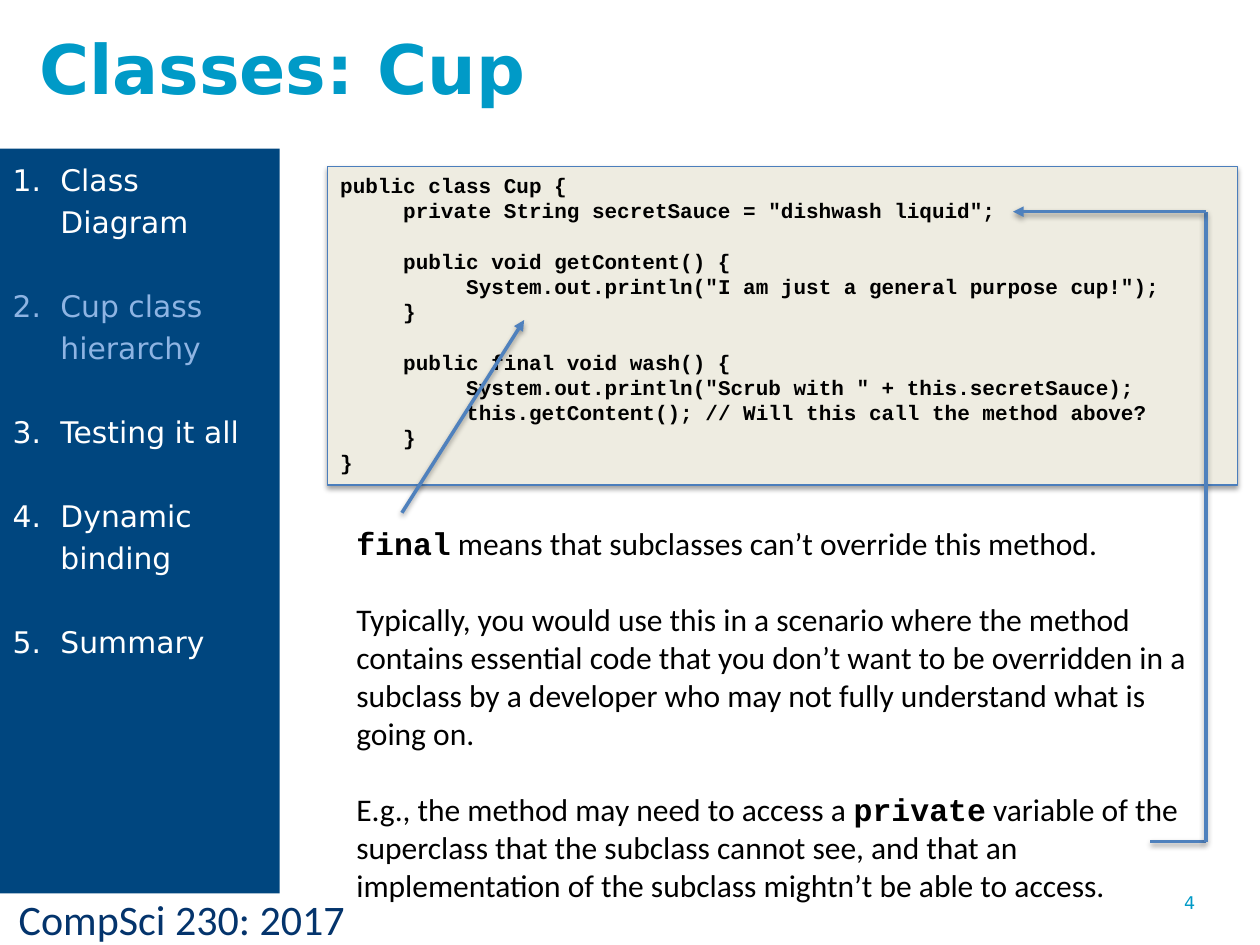
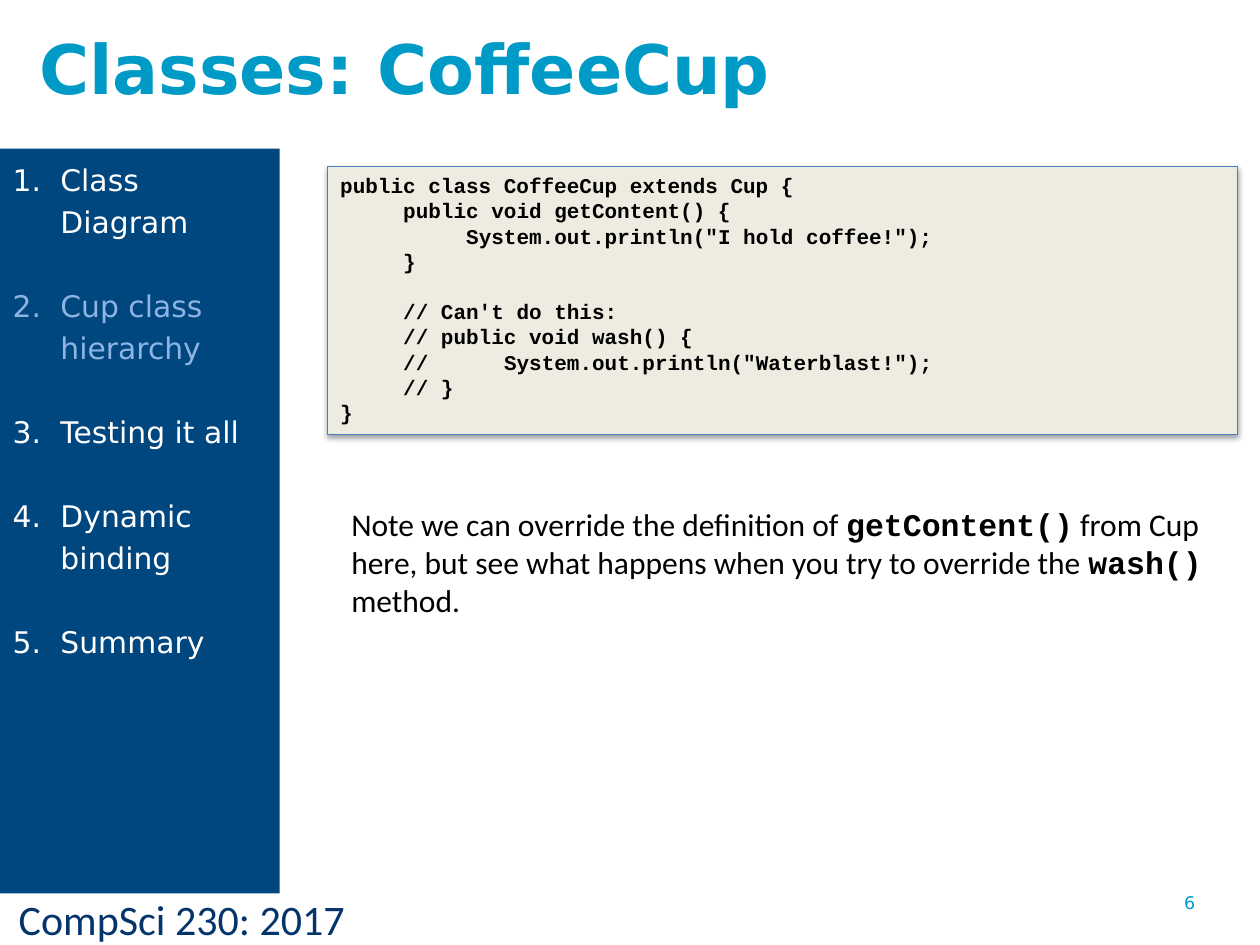
import dataclasses
import itertools

import lxml.etree
import pptx
import pptx.dml.color
import pptx.enum.shapes
import pptx.enum.text
import pptx.oxml.ns
import pptx.util


@dataclasses.dataclass(frozen=True)
class Theme:
    heading: str = "009AC7"
    band: str = "00467F"
    topic: str = "FFFFFF"
    current_topic: str = "8EB4E3"
    course: str = "04346C"
    ink: str = "000000"
    code_fill: str = "EEECE1"
    code_edge: str = "4B7EBC"
    arrow: str = "4F81BD"
    sans: str = "DejaVu Sans"
    prose: str = "Calibri"
    mono: str = "Courier New"
    title_size: float = 39
    course_size: float = 24
    note_size: float = 18
    topic_size: float = 17
    code_size: float = 12
    number_size: float = 10
    topic_pitch: float = 24
    code_pitch: float = 14.4
    note_gap: float = 22


theme = Theme()
qn = pptx.oxml.ns.qn
Pt = pptx.util.Pt
rgb = pptx.dml.color.RGBColor.from_string

GRID_COLUMNS = 100
CODE_TAB = 5
COMMENT_TAB = 8
TOPIC_INDENT = 3.8
TOPICS = ["Class Diagram", "Cup class hierarchy", "Testing it all", "Dynamic binding", "Summary"]
CURRENT_TOPIC = "Cup class hierarchy"

LESSONS = [
    {
        "title": "Classes: Cup",
        "number": "4",
        "code": [
            "public class Cup {",
            "\tprivate String secretSauce = \"dishwash liquid\";",
            "",
            "\tpublic void getContent() {",
            "\t\tSystem.out.println(\"I am just a general purpose cup!\");",
            "\t}",
            "",
            "\tpublic final void wash() {",
            "\t\tSystem.out.println(\"Scrub with \" + this.secretSauce);",
            "\t\tthis.getContent(); // Will this call the method above?",
            "\t}",
            "}",
        ],
        "note_at": (27.3, 41.1, 70.4, 31.3),
        "notes": [
            "`final` means that subclasses can’t override this method.",
            "Typically, you would use this in a scenario where the method contains essential code "
            "that you don’t want to be overridden in a subclass by a developer who may not fully "
            "understand what is going on.",
            "E.g., the method may need to access a `private` variable of the superclass that the "
            "subclass cannot see, and that an implementation of the subclass mightn’t be able to access.",
        ],
        "arrows": [
            [(31.9, 40.7), (41.6, 25.4)],
            [(91.3, 66.8), (95.7, 66.8), (95.7, 16.8), (80.4, 16.8)],
        ],
    },
    {
        "title": "Classes: CoffeeCup",
        "number": "6",
        "code": [
            "public class CoffeeCup extends Cup {",
            "\tpublic void getContent() {",
            "\t\tSystem.out.println(\"I hold coffee!\");",
            "\t}",
            "",
            "\t// Can't do this:",
            "\t// public void wash() {",
            "\t//\tSystem.out.println(\"Waterblast!\");",
            "\t// }",
            "}",
        ],
        "note_at": (26.9, 39.6, 70.4, 10.1),
        "notes": [
            "Note we can override the definition of `getContent()` from Cup here, but see what "
            "happens when you try to override the `wash() `method.",
        ],
        "arrows": [],
    },
]

deck = pptx.Presentation()
deck.slide_width = pptx.util.Inches(10)
deck.slide_height = pptx.util.Inches(7.5)
two_content = deck.slide_layouts[3]


def cells(*counts):
    return [round(deck.slide_width / GRID_COLUMNS * count) for count in counts]


def style(runs, face, size, colour, bold=False):
    for run in runs:
        run.font.name = face
        run.font.size = Pt(size)
        run.font.bold = bold
        run.font.color.rgb = rgb(colour)


for lesson in LESSONS:
    slide = deck.slides.add_slide(two_content)
    heading, topics, code = slide.placeholders
    code_height = 2 * len(lesson["code"]) + 1.3
    for part, place in (
        (heading, (2.1, 1.4, 71.3, 7.8)),
        (topics, (0, 11.8, 22.2, 59.1)),
        (code, (26, 13.2, 72.2, code_height)),
    ):
        part.left, part.top, part.width, part.height = cells(*place)
        part.text_frame.auto_size = pptx.enum.text.MSO_AUTO_SIZE.NONE
        part.text_frame.word_wrap = True

    heading.text_frame.text = lesson["title"]
    heading.text_frame.vertical_anchor = pptx.enum.text.MSO_ANCHOR.MIDDLE
    heading.text_frame.paragraphs[0].alignment = pptx.enum.text.PP_ALIGN.LEFT
    style(heading.text_frame.paragraphs[0].runs, theme.sans, theme.title_size, theme.heading, True)

    topics.fill.solid()
    topics.fill.fore_color.rgb = rgb(theme.band)
    topics.text_frame.text = "\n".join(TOPICS)
    for index, topic in enumerate(topics.text_frame.paragraphs):
        topic.line_spacing = Pt(theme.topic_pitch)
        topic.space_before = Pt(theme.topic_pitch if index else 0)
        indent, = cells(TOPIC_INDENT)
        properties = topic._p.get_or_add_pPr()
        properties.set("marL", str(indent))
        properties.set("indent", str(-indent))
        lxml.etree.SubElement(properties, qn("a:buFont"), typeface="+mj-lt")
        lxml.etree.SubElement(properties, qn("a:buAutoNum"), type="arabicPeriod")
        colour = theme.current_topic if topic.text == CURRENT_TOPIC else theme.topic
        style(topic.runs, theme.sans, theme.topic_size, colour)

    code.fill.solid()
    code.fill.fore_color.rgb = rgb(theme.code_fill)
    code.line.color.rgb = rgb(theme.code_edge)
    code.line.width = Pt(0.75)
    statements = [line for line in lesson["code"] if line]
    code.text_frame.text = "\n".join(line.lstrip("\t") for line in statements)
    for statement, line in zip(code.text_frame.paragraphs, statements):
        position = lesson["code"].index(line)
        follows_gap = position > 0 and not lesson["code"][position - 1]
        statement.line_spacing = Pt(theme.code_pitch)
        statement.space_before = Pt(theme.code_pitch if follows_gap else 0)
        depth = len(line) - len(line.lstrip("\t"))
        hanging = COMMENT_TAB if "\t" in statement.text else 0
        margin, first_line = cells(depth * CODE_TAB + hanging, -hanging)
        properties = statement._p.get_or_add_pPr()
        properties.set("marL", str(margin))
        properties.set("indent", str(first_line))
        lxml.etree.SubElement(properties, qn("a:buNone"))
        style(statement.runs, theme.mono, theme.code_size, theme.ink, True)

    for text, place, face, size, colour in (
        ("CompSci 230: 2017", (0.5, 70.4, 40.5, 5), theme.prose, theme.course_size, theme.course),
        (lesson["number"], (93, 70.3, 7, 5.2), theme.sans, theme.number_size, theme.heading),
    ):
        footer = slide.shapes.add_textbox(*cells(*place)).text_frame
        footer.word_wrap = True
        footer.text = text
        style(footer.paragraphs[0].runs, face, size, colour)

    notes = slide.shapes.add_textbox(*cells(*lesson["note_at"])).text_frame
    notes.word_wrap = True
    for index, sentence in enumerate(lesson["notes"]):
        note = notes.add_paragraph() if index else notes.paragraphs[0]
        note.space_before = Pt(theme.note_gap if index else 0)
        for order, phrase in enumerate(sentence.split("`")):
            if phrase:
                run = note.add_run()
                run.text = phrase
                is_code = order % 2 == 1
                face = theme.mono if is_code else theme.prose
                style([run], face, theme.note_size, theme.ink, is_code)

    raised = [code]
    for corners in lesson["arrows"]:
        for start, end in itertools.pairwise(corners):
            segment = slide.shapes.add_connector(
                pptx.enum.shapes.MSO_CONNECTOR.STRAIGHT, *cells(*start, *end))
            segment.line.color.rgb = rgb(theme.arrow)
            segment.line.width = Pt(2)
            raised.append(segment)
        outline = segment._element.spPr.find(qn("a:ln"))
        lxml.etree.SubElement(outline, qn("a:tailEnd"), type="triangle")

    for part in raised:
        effects = lxml.etree.SubElement(part._element.spPr, qn("a:effectLst"))
        shadow = lxml.etree.SubElement(
            effects, qn("a:outerShdw"), blurRad=str(Pt(3.1)), dist=str(Pt(1.7)),
            dir="5400000", rotWithShape="0")
        shade = lxml.etree.SubElement(shadow, qn("a:srgbClr"), val=theme.ink)
        lxml.etree.SubElement(shade, qn("a:alpha"), val="36000")

deck.save("out.pptx")
